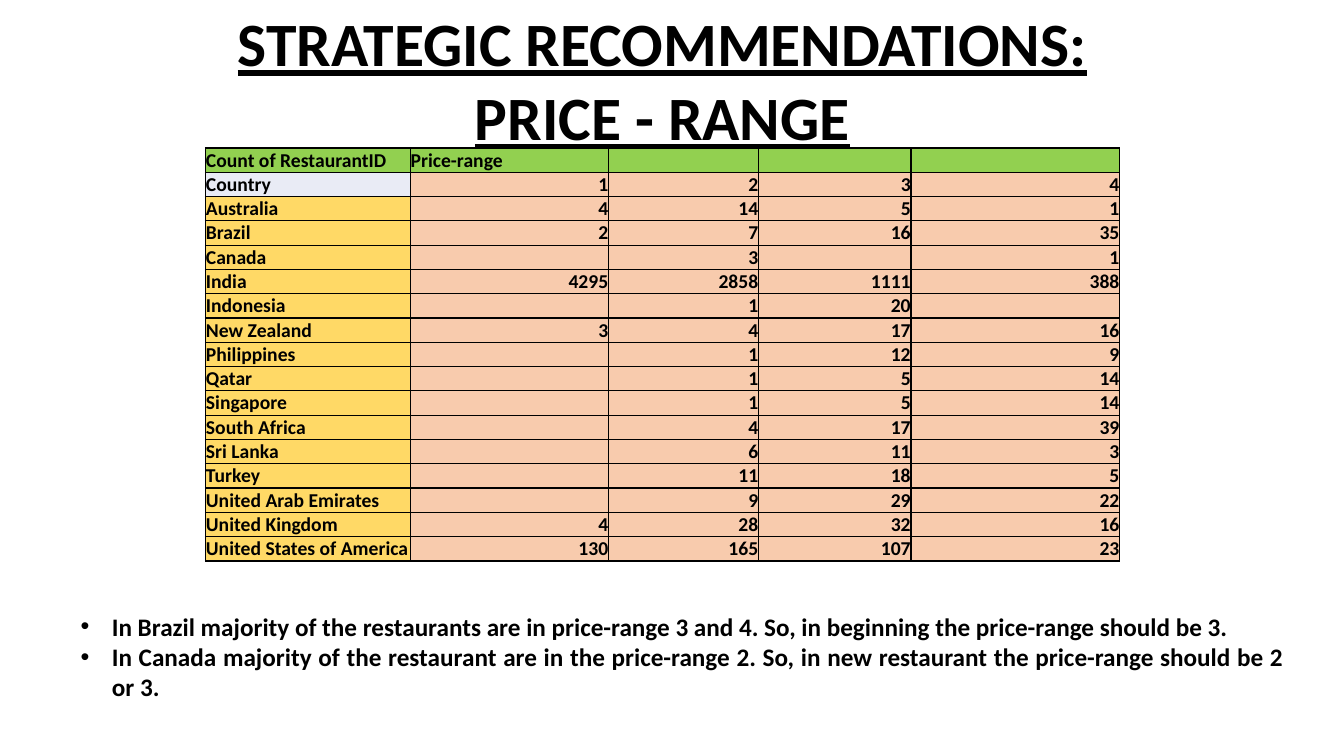
"""Build the slide on strategic recommendations by price range."""
from dataclasses import dataclass

from lxml import etree
from pptx import Presentation
from pptx import util as u
from pptx.dml import color
from pptx.enum import text
from pptx.oxml import ns

FONT = "Calibri"
BLACK, GREEN, PALE, YELLOW, PEACH = "000000", "92D050", "E9EBF5", "FFD966", "F8CBAD"
COLUMNS = (5.16, 5.0, 3.78, 3.84, 5.26)
ROW_HEIGHT = 0.61


@dataclass(frozen=True)
class Row:
    label: str
    values: tuple[str, ...]
    label_fill: str = YELLOW
    value_fill: str = PEACH


@dataclass(frozen=True)
class TextBlock:
    box: tuple[float, float, float, float]
    lines: tuple[str, ...]
    size: int
    align: text.PP_ALIGN
    underline: bool = False
    bullet: bool = False


ROWS = (
    Row("Count of RestaurantID", ("Price-range", "", "", ""), GREEN, GREEN),
    Row("Country", ("1", "2", "3", "4"), PALE),
    Row("Australia", ("4", "14", "5", "1")),
    Row("Brazil", ("2", "7", "16", "35")),
    Row("Canada", ("", "3", "", "1")),
    Row("India", ("4295", "2858", "1111", "388")),
    Row("Indonesia", ("", "1", "20", "")),
    Row("New Zealand", ("3", "4", "17", "16")),
    Row("Philippines", ("", "1", "12", "9")),
    Row("Qatar", ("", "1", "5", "14")),
    Row("Singapore", ("", "1", "5", "14")),
    Row("South Africa", ("", "4", "17", "39")),
    Row("Sri Lanka", ("", "6", "11", "3")),
    Row("Turkey", ("", "11", "18", "5")),
    Row("United Arab Emirates", ("", "9", "29", "22")),
    Row("United Kingdom", ("4", "28", "32", "16")),
    Row("United States of America", ("130", "165", "107", "23")),
)

TITLE = TextBlock(
    (2.77, 0, 27.86, 5.89),
    ("STRATEGIC RECOMMENDATIONS:", "PRICE - RANGE"),
    44, text.PP_ALIGN.CENTER, underline=True,
)
ADVICE = TextBlock(
    (1.78, 15.27, 30.84, 3.33),
    (
        "In Brazil majority of the restaurants are in price-range 3 and 4. "
        "So, in beginning the price-range should be 3.",
        "In Canada majority of the restaurant are in the price-range 2. "
        "So, in new restaurant the price-range should be 2 or 3.",
    ),
    18, text.PP_ALIGN.JUSTIFY, bullet=True,
)


def rgb(value: str) -> color.RGBColor:
    """Turn a hex string into a colour."""
    return color.RGBColor.from_string(value)


def add_run(p, words: str, size: int, underline: bool = False) -> None:
    """Add one bold black run to a paragraph."""
    r = p.add_run()
    r.text = words
    r.font.name, r.font.size = FONT, u.Pt(size)
    r.font.bold, r.font.underline = True, underline
    r.font.color.rgb = rgb(BLACK)


def add_bullet(p) -> None:
    """Give a paragraph a round bullet and a hanging indent."""
    props = p._p.get_or_add_pPr()
    indent = u.Cm(0.79)
    props.set("marL", str(indent))
    props.set("indent", str(-indent))
    etree.SubElement(props, ns.qn("a:buFont"), typeface="Arial")
    etree.SubElement(props, ns.qn("a:buChar"), char="•")


def add_text(s, block: TextBlock) -> None:
    """Draw a text block, one paragraph per line."""
    tf = s.shapes.add_textbox(*map(u.Cm, block.box)).text_frame
    tf.word_wrap = True
    for i, line in enumerate(block.lines):
        p = tf.add_paragraph() if i else tf.paragraphs[0]
        p.alignment = block.align
        if block.bullet:
            add_bullet(p)
        add_run(p, line, block.size, block.underline)


def add_borders(cell) -> None:
    """Draw a thin black line on each side of a cell."""
    props = cell._tc.get_or_add_tcPr()
    for side in ("lnL", "lnR", "lnT", "lnB"):
        line = etree.SubElement(props, ns.qn(f"a:{side}"), w=str(u.Pt(1)))
        fill = etree.SubElement(line, ns.qn("a:solidFill"))
        etree.SubElement(fill, ns.qn("a:srgbClr"), val=BLACK)


def fill_cell(cell, words: str, fill: str) -> None:
    """Style a table cell and write its words, numbers to the right."""
    add_borders(cell)
    cell.fill.solid()
    cell.fill.fore_color.rgb = rgb(fill)
    cell.margin_left = cell.margin_right = cell.margin_top = u.Cm(0.01)
    cell.margin_bottom = 0
    cell.vertical_anchor = text.MSO_ANCHOR.BOTTOM
    p = cell.text_frame.paragraphs[0]
    if words:
        p.alignment = text.PP_ALIGN.RIGHT if words.isdigit() else text.PP_ALIGN.LEFT
        add_run(p, words, 14)
    else:
        etree.SubElement(p._p, ns.qn("a:endParaRPr"), sz="1400")


def add_price_table(s) -> None:
    """Draw the table of restaurant counts by country and price range."""
    frame = s.shapes.add_table(
        len(ROWS), len(COLUMNS), u.Cm(5.18), u.Cm(3.73),
        u.Cm(sum(COLUMNS)), u.Cm(ROW_HEIGHT * len(ROWS)),
    )
    table = frame.table
    table.first_row = table.horz_banding = False
    for column, width in zip(table.columns, COLUMNS):
        column.width = u.Cm(width)
    for i, row in enumerate(ROWS):
        table.rows[i].height = u.Cm(ROW_HEIGHT)
        fill_cell(table.cell(i, 0), row.label, row.label_fill)
        for j, value in enumerate(row.values, 1):
            fill_cell(table.cell(i, j), value, row.value_fill)


def main() -> None:
    """Build and save the slide."""
    prs = Presentation()
    prs.slide_width, prs.slide_height = u.Cm(33.87), u.Cm(19.05)
    s = prs.slides.add_slide(prs.slide_layouts[6])
    add_price_table(s)
    add_text(s, TITLE)
    add_text(s, ADVICE)
    prs.save("out.pptx")


if __name__ == "__main__":
    main()
